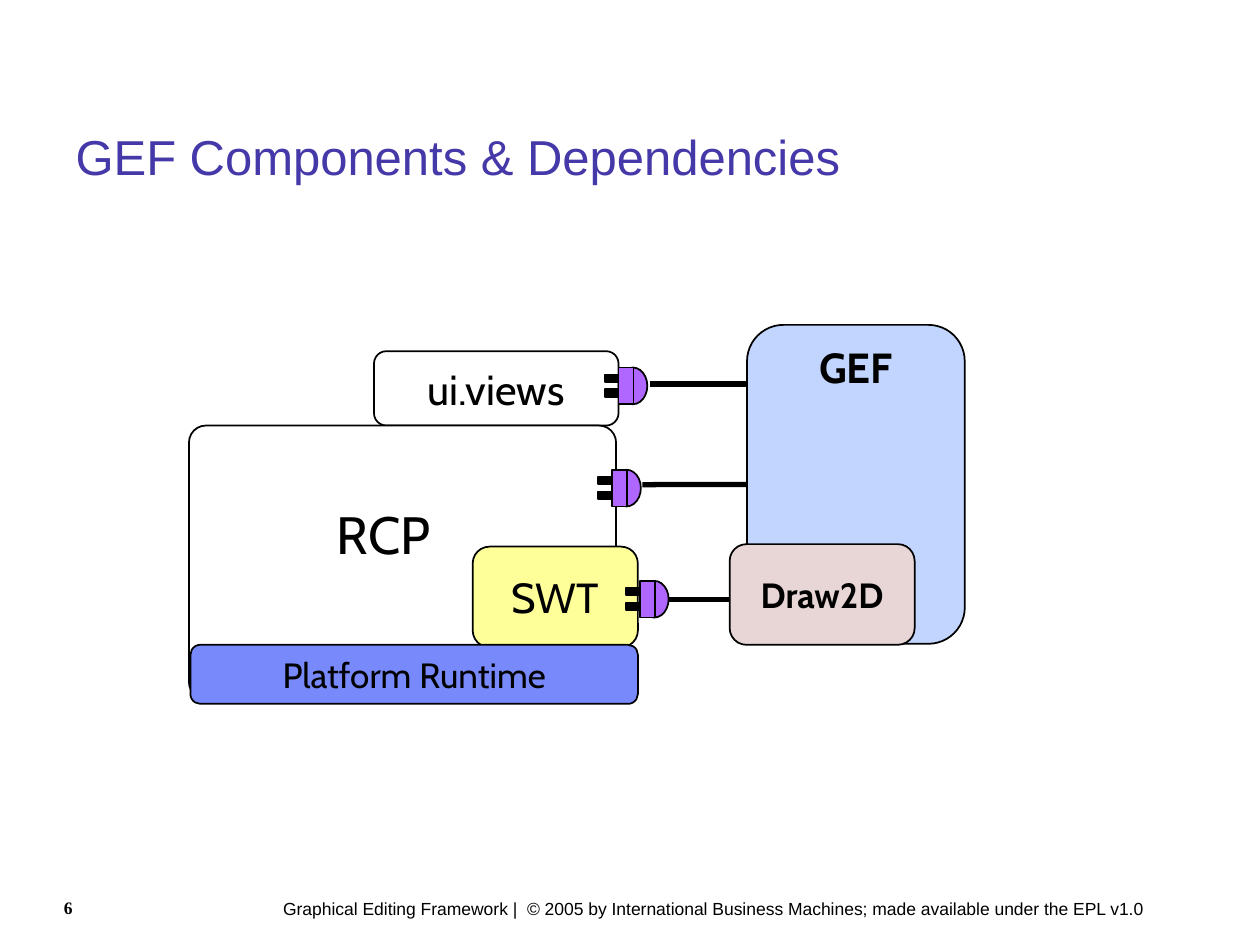
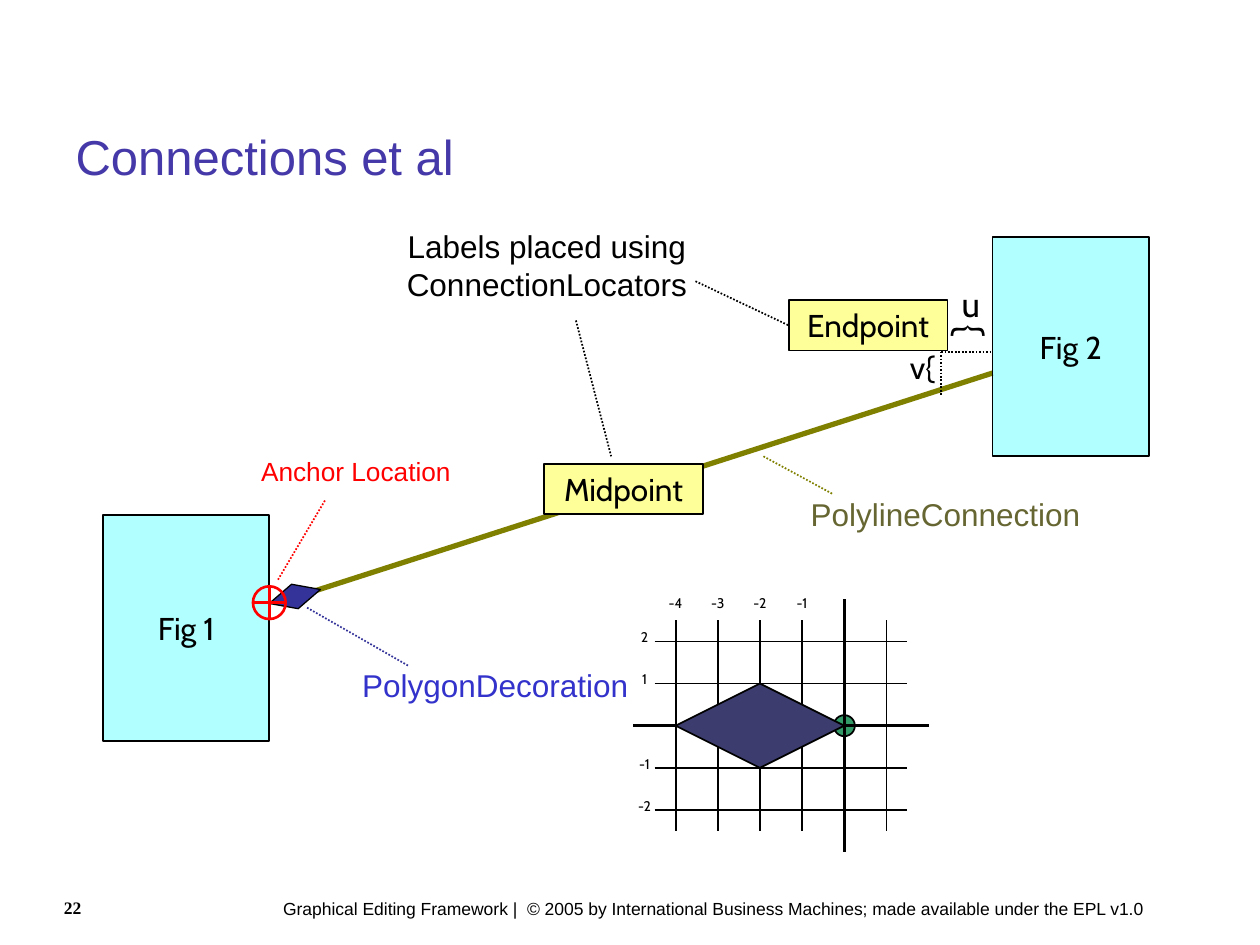
from dataclasses import dataclass
from typing import Any

from lxml.etree import SubElement
from pptx import Presentation
from pptx.dml.color import RGBColor
from pptx.enum.dml import MSO_LINE
from pptx.enum.shapes import MSO_CONNECTOR, MSO_SHAPE
from pptx.enum.text import MSO_ANCHOR, MSO_AUTO_SIZE, PP_ALIGN
from pptx.oxml.ns import qn
from pptx.util import Cm, Pt

# Shared colours and fonts
BLACK, WHITE, RED = "000000", "FFFFFF", "FF0000"
TITLE_BLUE, NAVY, OLIVE = "4538A8", "333399", "808000"
YELLOW, PURPLE, CYAN = "FFFF99", "AF67FF", "66FFFF"
SANS, DIAGRAM_FONT, SERIF = "Arial", "Cabin", "Times New Roman"
FOOTER = (" Graphical Editing Framework |  © 2005 by International Business "
          "Machines; made available under the EPL v1.0")


def color(hex_string):
    return RGBColor.from_string(hex_string)


def write(text_frame, text, size, font=DIAGRAM_FONT, ink=BLACK, bold=False,
          align=PP_ALIGN.CENTER, anchor=MSO_ANCHOR.TOP, wrap=False):
    """Fill a text frame with one formatted paragraph."""
    text_frame.auto_size = MSO_AUTO_SIZE.NONE
    text_frame.word_wrap = wrap
    text_frame.vertical_anchor = anchor
    paragraph = text_frame.paragraphs[0]
    paragraph.alignment = align
    run = paragraph.add_run()
    run.text = text
    run.font.size = Pt(size)
    run.font.name = font
    run.font.bold = bold
    run.font.color.rgb = color(ink)
    return paragraph


def set_opacity(shape, percent):
    fill_color = shape._element.spPr.find(qn("a:solidFill"))[0]
    SubElement(fill_color, qn("a:alpha")).set("val", str(percent * 1000))


@dataclass
class Region:
    """Draws with lengths in centimetres from its own top left corner."""
    shapes: Any
    left: float = 0
    top: float = 0

    def group_at(self, x, y):
        """A grouped region whose corner lies at x, y."""
        group = self.shapes.add_group_shape()
        return Region(group.shapes, self.left + x, self.top + y)

    def place(self, x, y, width, height):
        return Cm(self.left + x), Cm(self.top + y), Cm(width), Cm(height)

    def shape(self, kind, box, fill, ink=BLACK, weight=1, radius=None):
        shape = self.shapes.add_shape(kind, *self.place(*box))
        shape.shadow.inherit = False
        if fill:
            shape.fill.solid()
            shape.fill.fore_color.rgb = color(fill)
        else:
            shape.fill.background()
        shape.line.color.rgb = color(ink)
        shape.line.width = Pt(weight)
        if radius is not None:
            shape.adjustments[0] = radius
        return shape

    def label(self, box, text, size, **style):
        text_box = self.shapes.add_textbox(*self.place(*box))
        write(text_box.text_frame, text, size, **style)
        return text_box

    def line(self, start, end, ink=BLACK, weight=1.0, dotted=False):
        ends = [Cm(origin + value) for point in (start, end)
                for origin, value in zip((self.left, self.top), point)]
        connector = self.shapes.add_connector(MSO_CONNECTOR.STRAIGHT, *ends)
        connector.line.color.rgb = color(ink)
        connector.line.width = Pt(weight)
        if dotted:
            connector.line.dash_style = MSO_LINE.ROUND_DOT
        SubElement(connector._element.spPr, qn("a:effectLst"))
        return connector


def add_slide(presentation, layout_index, title, number):
    """Add a slide with the shared title, footer and page number."""
    slide = presentation.slides.add_slide(presentation.slide_layouts[layout_index])
    page = Region(slide.shapes)
    heading = slide.shapes.title
    heading.left, heading.top, heading.width, heading.height = page.place(
        1.27, 2.34, 22.86, 1.6)
    write(heading.text_frame, title, 28, font=SANS, ink=TITLE_BLUE,
          align=PP_ALIGN.LEFT, anchor=MSO_ANCHOR.MIDDLE, wrap=True)
    page.label((5.36, 17.98, 18.34, 0.69), FOOTER, 10, font=SANS,
               align=PP_ALIGN.LEFT, wrap=True)
    page_number = page.label((0.43, 17.96, 2.79, 0.89), str(number), 10,
                             font=SERIF, bold=True, align=PP_ALIGN.LEFT, wrap=True)
    page_number.text_frame.margin_left = Cm(0.86)
    return slide


# Component diagram
def draw_plug(region, x, y):
    plug = region.group_at(x, y)
    plug.shape(MSO_SHAPE.OVAL, (0.28, 0, 0.58, 0.74), PURPLE)
    plug.shape(MSO_SHAPE.RECTANGLE, (0.28, 0, 0.3, 0.74), PURPLE)
    for prong_top in (0.14, 0.44):
        plug.shape(MSO_SHAPE.RECTANGLE, (0, prong_top, 0.28, 0.15), BLACK)


def draw_component(region, box, fill, text, size, radius=0.167, bold=False,
                   anchor=MSO_ANCHOR.MIDDLE):
    component = region.shape(MSO_SHAPE.ROUNDED_RECTANGLE, box, fill, radius=radius)
    write(component.text_frame, text, size, bold=bold, anchor=anchor)
    return component


def draw_components(region):
    gef = draw_component(region, (11.25, 0, 4.39, 6.43), "C2D5FF", "GEF", 24,
                         bold=True, anchor=MSO_ANCHOR.TOP)

    # Cables lie below the boxes they reach
    region.line((9.65, 5.54), (10.9, 5.54), weight=3)
    rcp_cable = region.line((9.14, 3.22), (11.25, 3.22), weight=3)
    rcp_cable.end_connect(gef, 1)
    region.line((9.3, 1.19), (11.25, 1.19), weight=3)

    draw_component(region, (3.73, 0.53, 4.93, 1.5), WHITE, "ui.views", 24)
    rcp = draw_component(region, (0, 2.03, 8.61, 5.51), WHITE, "RCP", 30,
                         radius=0.062)
    rcp.text_frame.margin_right = Cm(1)
    rcp.text_frame.margin_bottom = Cm(1.3)
    draw_component(region, (5.72, 4.47, 3.33, 2.03), YELLOW, "SWT", 24)
    draw_component(region, (0.03, 6.45, 9.02, 1.19), "7889FB",
                   "Platform Runtime", 20)
    draw_component(region, (10.9, 4.42, 3.73, 2.03), "E8D5D5", "Draw2D", 20,
                   bold=True)

    for x, y in ((8.38, 0.86), (8.25, 2.92), (8.81, 5.16)):
        draw_plug(region, x, y)


# Connection diagram
def draw_connection(region):
    region.line((4.24, 7.47), (17.93, 3.07), OLIVE, 3)
    for text, box in (("Fig 1", (0, 5.94, 3.35, 4.55)),
                      ("Fig 2", (17.93, 0.33, 3.15, 4.42))):
        figure = region.shape(MSO_SHAPE.RECTANGLE, box, CYAN)
        set_opacity(figure, 50)
        write(figure.text_frame, text, 18, anchor=MSO_ANCHOR.MIDDLE)

    locators = {}
    for text, x, y in (("Midpoint", 8.89, 4.9), ("Endpoint", 13.82, 1.6)):
        locators[text] = region.shape(MSO_SHAPE.RECTANGLE, (x, y, 3.2, 1.02), YELLOW)
        write(locators[text].text_frame, text, 18)

    # Decoration and anchor at the start of the connection
    decoration = region.shape(MSO_SHAPE.DIAMOND, (3.33, 7.32, 1.07, 0.51),
                              NAVY, weight=0.75)
    decoration.rotation = 344.7
    region.shape(MSO_SHAPE.FLOWCHART_OR, (3.02, 7.37, 0.66, 0.66), None, RED, 1.5)

    # Offsets u and v of the endpoint label
    brace = region.label((16.97, 1.63, 0.79, 1.19), "}", 22)
    brace.rotation = 270
    region.label((17.02, 1.12, 0.94, 1.12), "u", 20)
    region.label((15.98, 2.44, 1.07, 1.02), "v{", 18)
    for end in ((17.93, 2.64), (16.89, 3.51)):
        region.line((16.89, 2.64), end, dotted=True)

    # Callouts and their leaders
    for text, box, ink in (
            ("PolygonDecoration", (4.78, 8.86, 6.25, 1.02), "3333CC"),
            ("PolylineConnection", (13.92, 5.41, 6.12, 1.14), "666633"),
            ("Labels placed using ConnectionLocators", (5.82, 0, 6.25, 1.78), BLACK)):
        region.label(box, text, 18, font=SANS, ink=ink, wrap=True)
    for start, end, ink in (((4.11, 7.8), (6.15, 8.97), NAVY),
                            ((4.47, 5.64), (3.51, 7.26), RED),
                            ((13.31, 4.75), (14.71, 5.51), OLIVE),
                            ((9.53, 2.01), (10.24, 4.75), BLACK)):
        region.line(start, end, ink, dotted=True)
    endpoint_leader = region.line((11.94, 1.22), (13.82, 2.11), dotted=True)
    endpoint_leader.end_connect(locators["Endpoint"], 1)


def format_anchor_callout(region, body):
    body.left, body.top, body.width, body.height = region.place(
        2.34, 4.6, 5.51, 1.27)
    paragraph = body.text_frame.paragraphs[0]
    properties = paragraph._p.get_or_add_pPr()
    properties.set("marL", "0")
    properties.set("indent", "0")
    SubElement(properties, qn("a:buNone"))
    write(body.text_frame, "Anchor Location", 15, font=SANS, ink=RED, wrap=True)
    paragraph.space_before = Pt(0)


def draw_grid(region, cell=0.85):
    """Draw the decoration's coordinate grid around the region's corner."""
    region.shape(MSO_SHAPE.OVAL, (-cell / 4, -cell / 4, cell / 2, cell / 2), "339966")
    for column in range(-4, 2):
        reach, weight = (2.5, 1) if column else (3, 1.5)
        region.line((column * cell, -reach * cell), (column * cell, reach * cell),
                    weight=weight)
    for row in range(-2, 3):
        first, last, weight = (-4.5, 1.5, 1) if row else (-5, 2, 1.5)
        region.line((first * cell, row * cell), (last * cell, row * cell),
                    weight=weight)
    region.shape(MSO_SHAPE.DIAMOND, (-4 * cell, -cell, 4 * cell, 2 * cell), "3C3C6E")
    for column in range(-4, 0):
        region.label(((column - 0.5) * cell, -2.77, cell, 0.61), str(column), 8)
    for row in (-2, -1, 1, 2):
        region.label((-4.45, row * cell - 0.38, cell, 0.61), str(-row), 8)


def build_components_slide(presentation):
    slide = add_slide(presentation, 5, "GEF Components & Dependencies", 6)
    draw_components(Region(slide.shapes, 3.81, 6.55))


def build_connections_slide(presentation):
    slide = add_slide(presentation, 1, "Connections et al", 22)
    diagram = Region(slide.shapes, 2.08, 4.45)
    draw_connection(diagram)
    format_anchor_callout(diagram, slide.placeholders[1])
    draw_grid(diagram.group_at(14.94, 10.18))


def main():
    presentation = Presentation()
    presentation.slide_width, presentation.slide_height = Cm(25.4), Cm(19.05)
    build_components_slide(presentation)
    build_connections_slide(presentation)
    presentation.save("out.pptx")


if __name__ == "__main__":
    main()
